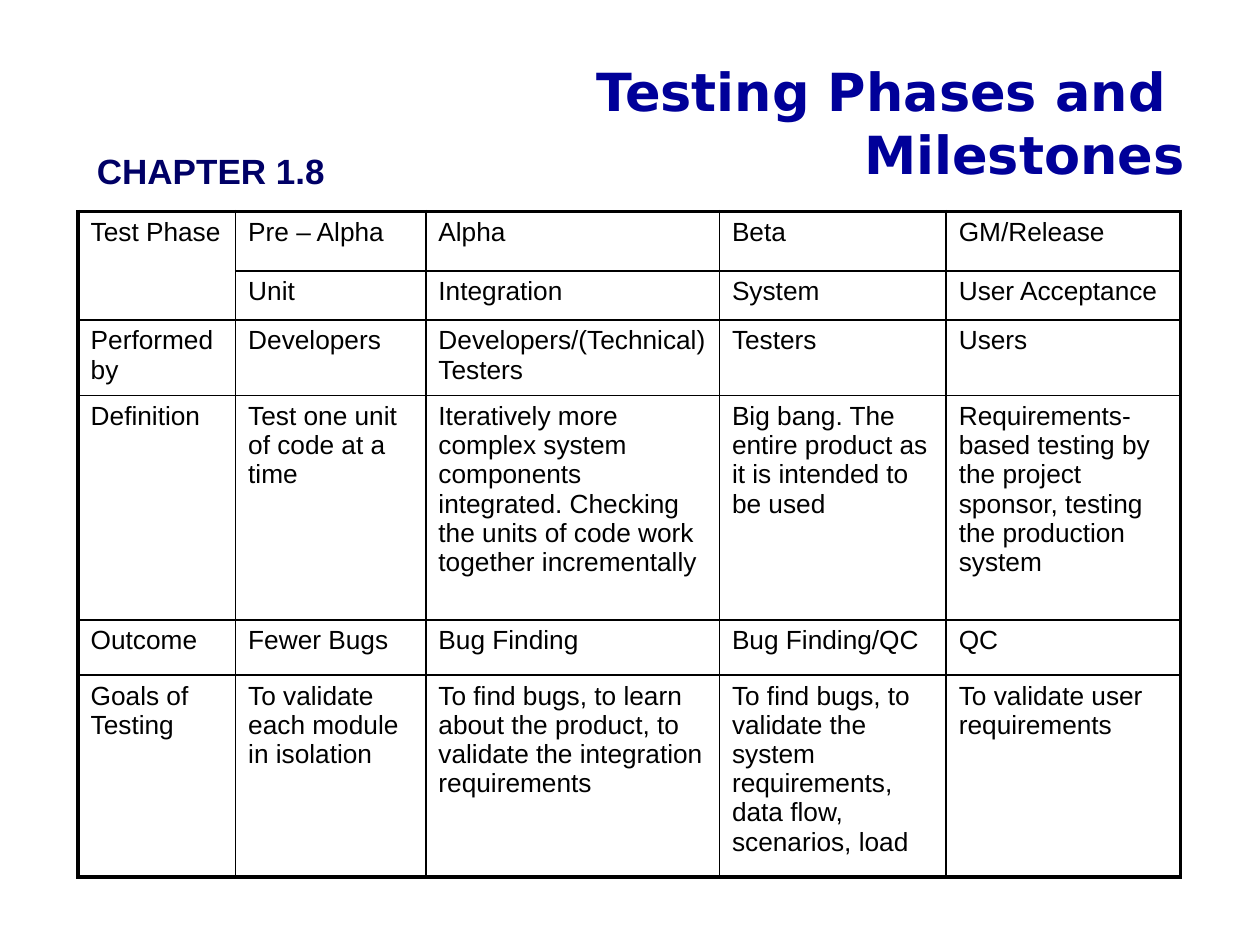
from dataclasses import dataclass

from lxml import etree
from pptx import Presentation
from pptx.dml import color
from pptx.enum import text
from pptx.oxml import ns
from pptx.util import Inches, Pt

HUES = {"ink": "000000", "title": "000099", "mark": "000066"}
THIN, THICK = 1, 2.25
COLS = [1.25, 1.51, 2.33, 1.8, 1.86]
ROWS = [0.47, 0.39, 0.6, 1.78, 0.44, 1.6]
GRID = [
    ["Test Phase", "Pre – Alpha", "Alpha", "Beta", "GM/Release"],
    ["", "Unit", "Integration", "System", "User Acceptance"],
    ["Performed by", "Developers", "Developers/(Technical) Testers", "Testers", "Users"],
    [
        "Definition",
        "Test one unit of code at a time",
        "Iteratively more complex system components integrated. "
        "Checking the units of code work together incrementally",
        "Big bang. The entire product as it is intended to be used",
        "Requirements-based testing by the project sponsor, testing the production system",
    ],
    ["Outcome", "Fewer Bugs", "Bug Finding", "Bug Finding/QC", "QC"],
    [
        "Goals of Testing",
        "To validate each module in isolation",
        "To find bugs, to learn about the product, to validate the integration requirements",
        "To find bugs, to validate the system requirements, data flow, scenarios, load",
        "To validate user requirements",
    ],
]


@dataclass
class Label:
    words: str
    box: tuple
    font: dict
    hue: str
    frame: dict
    align: text.PP_ALIGN = text.PP_ALIGN.LEFT


LABELS = [
    Label(
        "Testing Phases and \vMilestones",
        (0.5, 0.42, 9, 1.05),
        {"name": "DejaVu Sans", "size": Pt(30), "bold": True},
        "title",
        {"vertical_anchor": text.MSO_ANCHOR.BOTTOM, "margin_bottom": 0},
        text.PP_ALIGN.RIGHT,
    ),
    Label(
        "CHAPTER 1.8",
        (0.67, 1.14, 2.08, 0.43),
        {"name": "Arial", "size": Pt(20), "bold": True},
        "mark",
        {"auto_size": text.MSO_AUTO_SIZE.SHAPE_TO_FIT_TEXT},
    ),
]
BODY = {"name": "Arial", "size": Pt(15), "bold": False}


def apply(item, values: dict) -> None:
    for key, value in values.items():
        setattr(item, key, value)


def style(para, font: dict, hue: str) -> None:
    for run in para.runs:
        apply(run.font, font)
        run.font.color.rgb = color.RGBColor.from_string(HUES[hue])


def write(slide, label: Label) -> None:
    shape = slide.shapes.add_textbox(*map(Inches, label.box))
    frame = shape.text_frame
    apply(frame, {"word_wrap": True, **label.frame})
    para = frame.paragraphs[0]
    para.text = label.words
    para.alignment = label.align
    style(para, label.font, label.hue)


def edge(cell, side: str, width: float) -> None:
    props = cell._tc.get_or_add_tcPr()
    line = etree.SubElement(props, ns.qn(f"a:ln{side}"), w=str(Pt(width)))
    fill = etree.SubElement(line, ns.qn("a:solidFill"))
    etree.SubElement(fill, ns.qn("a:srgbClr"), val=HUES["ink"])


def draw(slide) -> None:
    sizes = (0.62, 1.68, sum(COLS), sum(ROWS))
    shape = slide.shapes.add_table(len(ROWS), len(COLS), *map(Inches, sizes))
    table = shape.table
    apply(table, {"first_row": False, "horz_banding": False})
    for parts, spans, key in (
        (table.columns, COLS, "width"),
        (table.rows, ROWS, "height"),
    ):
        for part, span in zip(parts, spans):
            setattr(part, key, Inches(span))
    for row, line in enumerate(GRID):
        for col, words in enumerate(line):
            cell = table.cell(row, col)
            cell.text = words
            style(cell.text_frame.paragraphs[0], BODY, "ink")
            outer = {
                "L": col == 0,
                "R": col == len(COLS) - 1,
                "T": row == 0,
                "B": row == len(ROWS) - 1,
            }
            for side, rim in outer.items():
                edge(cell, side, THICK if rim else THIN)
            cell.fill.background()
    table.cell(0, 0).merge(table.cell(1, 0))


def main() -> None:
    deck = Presentation()
    apply(deck, {"slide_width": Inches(10), "slide_height": Inches(7.5)})
    slide = deck.slides.add_slide(deck.slide_layouts[6])
    draw(slide)
    for label in LABELS:
        write(slide, label)
    deck.save("out.pptx")


if __name__ == "__main__":
    main()
